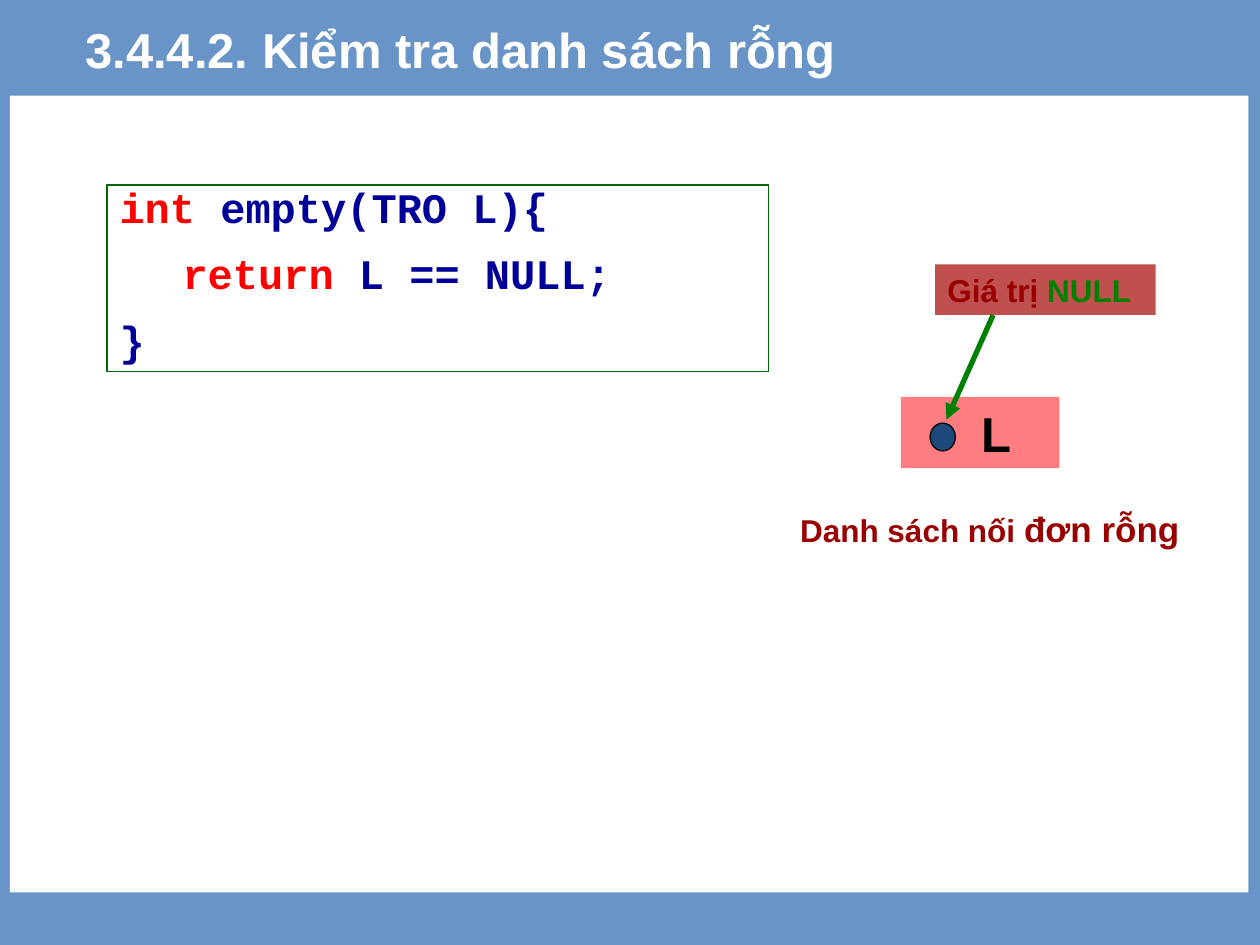
from lxml.etree import SubElement
from pptx import Presentation
from pptx.dml.color import RGBColor
from pptx.enum.shapes import MSO_CONNECTOR, MSO_SHAPE
from pptx.enum.text import MSO_ANCHOR, PP_ALIGN
from pptx.oxml.ns import qn
from pptx.util import Cm, Pt

BACKGROUND = RGBColor(0x69, 0x94, 0xC7)
WHITE = RGBColor(0xFF, 0xFF, 0xFF)
BLACK = RGBColor(0x00, 0x00, 0x00)
NODE_PINK = RGBColor(0xFF, 0x7C, 0x80)
LABEL_RED = RGBColor(0xC0, 0x50, 0x4D)
DOT_BLUE = RGBColor(0x1F, 0x49, 0x7D)
DARK_RED = RGBColor(0x99, 0x00, 0x00)
GREEN = RGBColor(0x00, 0x80, 0x00)
BORDER_GREEN = RGBColor(0x00, 0x66, 0x00)
KEYWORD_RED = RGBColor(0xFF, 0x00, 0x00)
CODE_BLUE = RGBColor(0x00, 0x00, 0x99)


def add_box(slide, left, top, width, height, fill=None, line=None, kind=MSO_SHAPE.RECTANGLE):
    """Add a preset shape, measured in centimetres."""
    shape = slide.shapes.add_shape(kind, Cm(left), Cm(top), Cm(width), Cm(height))
    shape.shadow.inherit = False
    if fill is None:
        shape.fill.background()
    else:
        shape.fill.solid()
        shape.fill.fore_color.rgb = fill
    if line is None:
        shape.line.fill.background()
    else:
        shape.line.color.rgb = line
        shape.line.width = Pt(0.75)
    return shape


def add_text_box(slide, left, top, width, height):
    """Add an empty text box, measured in centimetres."""
    return slide.shapes.add_textbox(Cm(left), Cm(top), Cm(width), Cm(height))


def write_text(shape, lines, font="Arial", anchor=MSO_ANCHOR.TOP, inset=0.25,
               line_spacing=None, space_before=0):
    """Write lines made of (text, size, colour) runs into a shape."""
    frame = shape.text_frame
    frame.word_wrap = True
    frame.vertical_anchor = anchor
    frame.margin_left = Cm(inset)
    for index, runs in enumerate(lines):
        paragraph = frame.add_paragraph() if index else frame.paragraphs[0]
        paragraph.alignment = PP_ALIGN.LEFT
        paragraph.line_spacing = line_spacing
        paragraph.space_before = Pt(space_before if index else 0)
        for text, size, color in runs:
            run = paragraph.add_run()
            run.text = text
            run.font.name = font
            run.font.size = Pt(size)
            run.font.bold = True
            run.font.color.rgb = color


def add_arrow(slide, start_x, start_y, end_x, end_y):
    """Add a green arrow, measured in centimetres."""
    arrow = slide.shapes.add_connector(
        MSO_CONNECTOR.STRAIGHT, Cm(start_x), Cm(start_y), Cm(end_x), Cm(end_y))
    arrow.line.color.rgb = GREEN
    arrow.line.width = Pt(3)
    SubElement(arrow.line._get_or_add_ln(), qn("a:tailEnd"), type="triangle")
    SubElement(arrow._element.spPr, qn("a:effectLst"))


def add_title(slide, left, top, width, height):
    """Place the slide title in its box."""
    title = add_text_box(slide, left, top, width, height)
    write_text(title, [[("3.4.4.2. Kiểm tra danh sách rỗng", 28, WHITE)]],
               anchor=MSO_ANCHOR.MIDDLE)


def add_code(slide, left, top, width, height):
    """Place the framed code listing in its box."""
    frame = add_box(slide, left, top, width, height, line=BORDER_GREEN)
    write_text(frame, [
        [("int", 24, KEYWORD_RED), (" empty(TRO L){", 24, CODE_BLUE)],
        [("\t", 24, CODE_BLUE), ("return", 24, KEYWORD_RED), (" L == NULL;", 24, CODE_BLUE)],
        [("}", 24, CODE_BLUE)],
    ], font="Courier New", line_spacing=0.8, space_before=15)


def add_empty_list(slide, left, top, width, height):
    """Place the diagram of an empty list, with its caption along the bottom."""
    node = add_box(slide, left + 2.28, top + 2.67, 3.2, 1.44, fill=NODE_PINK)
    write_text(node, [[("L", 28, BLACK)]], anchor=MSO_ANCHOR.MIDDLE, inset=1.62)
    caption = add_text_box(slide, left, top + height - 1.12, width, 1.12)
    write_text(caption, [[("Danh sách nối ", 18, DARK_RED), ("đơn rỗng", 20, DARK_RED)]])
    add_box(slide, left + 2.87, top + 3.2, 0.51, 0.56,
            fill=DOT_BLUE, line=BLACK, kind=MSO_SHAPE.OVAL)
    label = add_box(slide, left + 2.97, top, 4.45, 1.02, fill=LABEL_RED)
    write_text(label, [[("Giá trị ", 18, DARK_RED), ("NULL", 18, GREEN)]])
    add_arrow(slide, left + 4.14, top + 1.02, left + 3.2, top + 3.13)


def main():
    """Build and save the slide."""
    presentation = Presentation()
    presentation.slide_width = Cm(25.4)
    presentation.slide_height = Cm(19.05)
    slide = presentation.slides.add_slide(presentation.slide_layouts[6])
    slide.background.fill.solid()
    slide.background.fill.fore_color.rgb = BACKGROUND
    add_box(slide, 0.2, 1.93, 24.97, 16.06, fill=WHITE)
    add_empty_list(slide, 15.88, 5.33, 8.26, 5.9)
    add_title(slide, 1.47, 0.03, 23.34, 1.9)
    add_code(slide, 2.16, 3.73, 13.34, 3.76)
    presentation.save("out.pptx")


if __name__ == "__main__":
    main()
